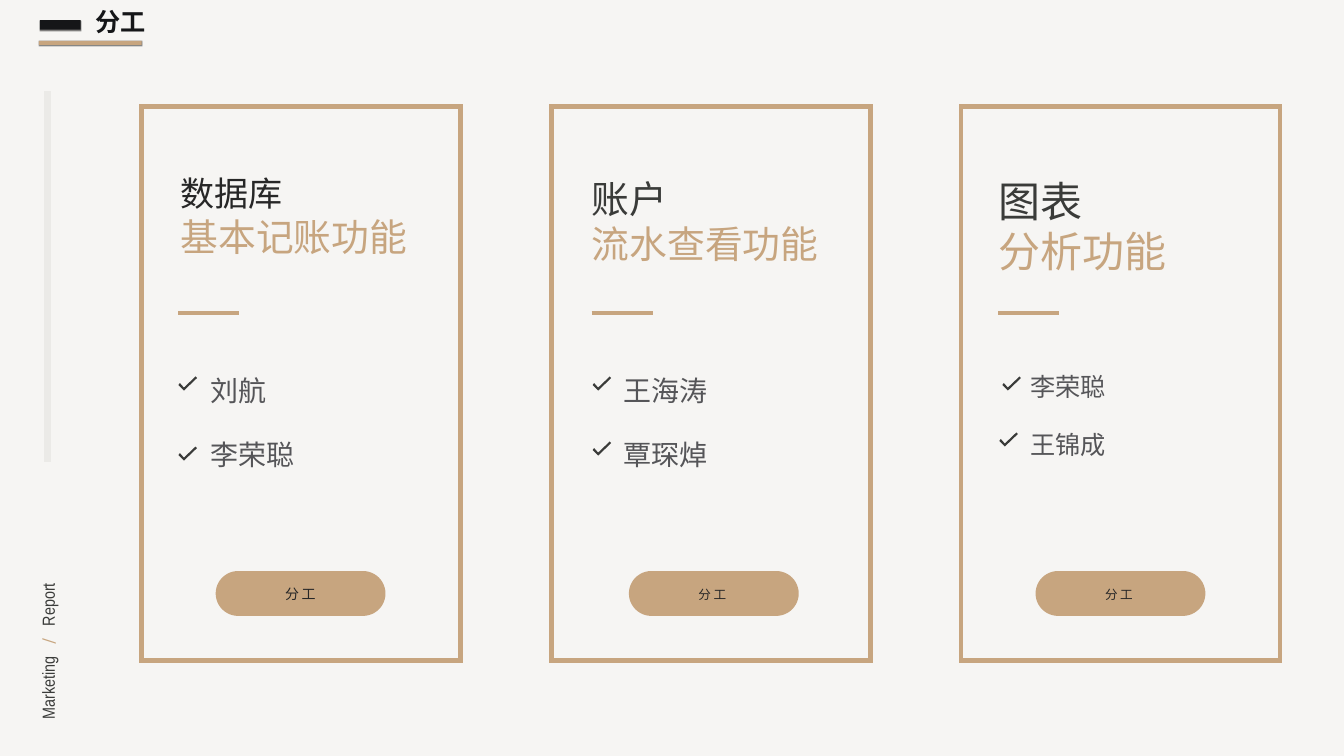
from lxml import etree
from pptx import Presentation
from pptx.dml.color import RGBColor
from pptx.enum.shapes import MSO_CONNECTOR, MSO_SHAPE
from pptx.enum.text import MSO_ANCHOR, MSO_AUTO_SIZE, PP_ALIGN
from pptx.oxml.ns import qn
from pptx.util import Inches, Pt

RECT, PILL = MSO_SHAPE.RECTANGLE, MSO_SHAPE.ROUNDED_RECTANGLE
STRAIGHT = MSO_CONNECTOR.STRAIGHT
TOP, MIDDLE = MSO_ANCHOR.TOP, MSO_ANCHOR.MIDDLE
LEFT = PP_ALIGN.LEFT
GROW, FIXED = MSO_AUTO_SIZE.SHAPE_TO_FIT_TEXT, MSO_AUTO_SIZE.NONE

WIDE, HIGH = 26.67, 15
CARD_X, STEP = 2.81, 8.13
ROWS = {"card": 2.12, "rule": 6.21, "list": 6.9, "tick": 7.47, "pill": 11.33}
HAN, SLIM, ROBOTO = "Noto Sans CJK SC", "Arial Narrow", "Roboto Condensed"
COLORS = {"page": "F6F5F3", "tan": "C7A57F", "rail": "EBEAE7", "ink": "151618",
          "dark": "272727", "soft": "3A3B39", "gray": "555558"}
TICK = [(11, 22), (3, 13), (0, 17), (11, 28), (37, 3), (34, 0)]
CARDS = [
    {"head": ("数据库", "基本记账功能"), "sizes": (48.6, 54), "tone": "dark",
     "names": ("刘航", "李荣聪"), "size": 40, "inset": 0.73, "shift": 0,
     "top": 3.39, "ticks": ((0, 0), (0, 1.39)), "label": 20},
    {"head": ("账户", "流水查看功能"), "sizes": (54, 54), "tone": "soft",
     "names": ("王海涛", "覃琛焯"), "size": 40, "inset": 0.8, "shift": -0.04,
     "top": 3.44, "ticks": ((0.02, 0), (0.02, 1.29)), "label": 18},
    {"head": ("图表", "分析功能"), "sizes": (60, 60), "tone": "soft",
     "names": ("李荣聪", "王锦成"), "size": 36, "inset": 0.74, "shift": -0.04,
     "top": 3.44, "ticks": ((0.08, 0), (0.02, 1.11)), "label": 18},
]


def tint(name):
    return RGBColor.from_string(COLORS[name])


def add_run(para, text, size, color, face=HAN, bold=False, gap=0):
    run = para.add_run()
    run.text = text
    font = run.font
    font.size, font.name, font.bold = Pt(size), face, bold
    font.color.rgb = tint(color)
    props = font._element
    etree.SubElement(props, qn("a:ea")).set("typeface", face)
    if gap:
        props.set("spc", str(gap))


def set_frame(frame, wrap=True, anchor=TOP):
    frame.word_wrap = wrap
    frame.auto_size = FIXED if wrap else GROW
    frame.vertical_anchor = anchor
    frame.margin_left = frame.margin_right = Inches(0.04)
    frame.margin_top = frame.margin_bottom = Inches(0.04)


def add_text(slide, x, y, w, h, lines, wrap=True, anchor=TOP, pitch=None, gap=0):
    box = slide.shapes.add_textbox(Inches(x), Inches(y), Inches(w), Inches(h))
    frame = box.text_frame
    set_frame(frame, wrap, anchor)
    for i, runs in enumerate(lines):
        para = frame.add_paragraph() if i else frame.paragraphs[0]
        if pitch:
            para.line_spacing = pitch
        if i and gap:
            para.space_before = Pt(gap)
        for run in runs:
            add_run(para, *run)
    return box


def add_block(slide, kind, x, y, w, h, fill=None, edge=None):
    block = slide.shapes.add_shape(kind, Inches(x), Inches(y), Inches(w), Inches(h))
    block.shadow.inherit = False
    if fill:
        block.fill.solid()
        block.fill.fore_color.rgb = tint(fill)
    else:
        block.fill.background()
    if edge:
        block.line.color.rgb, block.line.width = tint(edge), Pt(7)
        outline = block._element.spPr.find(qn("a:ln"))
        etree.SubElement(outline, qn("a:miter"), lim="800000")
    else:
        block.line.fill.background()
    return block


def add_bar(slide, x, y, w, h, fill):
    bar = add_block(slide, RECT, x, y, w, h, fill)
    effects = bar._element.spPr.find(qn("a:effectLst"))
    shade = etree.SubElement(effects, qn("a:outerShdw"), blurRad="12700",
                             dist="12700", dir="5400000")
    black = etree.SubElement(shade, qn("a:srgbClr"), val="000000")
    etree.SubElement(black, qn("a:alpha"), val="50000")


def add_line(slide, x1, y1, x2, y2, color, width):
    line = slide.shapes.add_connector(STRAIGHT, Inches(x1), Inches(y1), Inches(x2), Inches(y2))
    line.line.color.rgb, line.line.width = tint(color), Pt(width)
    etree.SubElement(line._element.spPr, qn("a:effectLst"))


def add_tick(slide, x, y):
    path = slide.shapes.build_freeform(*TICK[0], scale=Inches(0.01))
    path.add_line_segments(TICK[1:], close=True)
    tick = path.convert_to_shape()
    tick.left, tick.top = Inches(x), Inches(y)
    tick.shadow.inherit = False
    tick.fill.solid()
    tick.fill.fore_color.rgb = tint("soft")
    tick.line.fill.background()


def add_card(slide, col, card):
    x = CARD_X + col * STEP
    start = x + card["inset"]
    add_block(slide, RECT, x, ROWS["card"], 6.33, 10.99, edge="tan")
    tones = (card["tone"], "tan")
    head = [[run] for run in zip(card["head"], card["sizes"], tones)]
    add_text(slide, start + card["shift"], card["top"], 4.92, 2.42, head)
    add_line(slide, start, ROWS["rule"], start + 1.21, ROWS["rule"], "tan", 7)
    names = [[(name, card["size"], "gray")] for name in card["names"]]
    add_text(slide, start + 0.59, ROWS["list"], 4.65, 3.47, names, pitch=1.7, gap=10)
    for dx, dy in card["ticks"]:
        add_tick(slide, start + dx, ROWS["tick"] + dy)
    left = start + 0.74
    pill = add_block(slide, PILL, left, ROWS["pill"], 3.37, 0.89, "tan")
    pill.adjustments[0] = 0.5
    label = [[("分工", card["label"], "dark", HAN, False, 360)]]
    add_text(slide, left + 1.34, ROWS["pill"] + 0.26, 0.7, 0.4, label, False, MIDDLE)


def add_side(slide):
    add_line(slide, 0.95, 9.16, 0.95, 1.81, "rail", 10)
    runs = [("Marketing   ", 25, "soft", SLIM), ("/   ", 25, "tan", ROBOTO),
            ("Report", 25, "soft", SLIM)]
    side = add_text(slide, -1.1, 11.97, 4.1, 0.59, [runs], False, MIDDLE)
    side.rotation = 270


def add_title(slide):
    add_bar(slide, 0.79, 0.4, 0.81, 0.19, "ink")
    add_bar(slide, 0.77, 0.81, 2.04, 0.08, "tan")
    title = slide.shapes.title
    title.left, title.top = Inches(1.85), Inches(0.09)
    title.width, title.height = Inches(1.6), Inches(0.71)
    set_frame(title.text_frame)
    para = title.text_frame.paragraphs[0]
    para.alignment = LEFT
    add_run(para, "分工", 36, "ink", bold=True)


def main():
    deck = Presentation()
    deck.slide_width, deck.slide_height = Inches(WIDE), Inches(HIGH)
    slide = deck.slides.add_slide(deck.slide_layouts[5])
    slide.background.fill.solid()
    slide.background.fill.fore_color.rgb = tint("page")
    add_side(slide)
    for col, card in enumerate(CARDS):
        add_card(slide, col, card)
    add_title(slide)
    deck.save("out.pptx")


if __name__ == "__main__":
    main()
